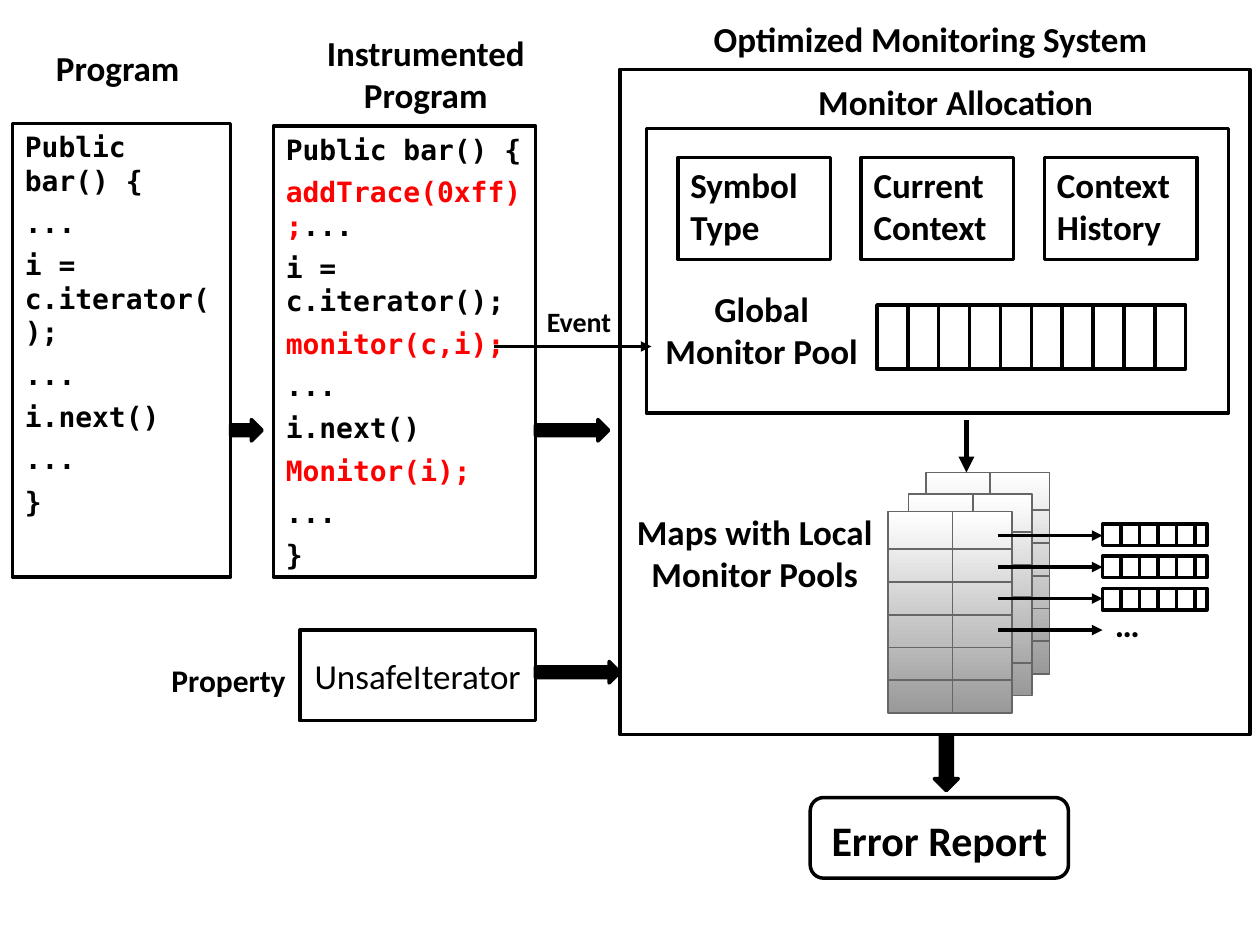
from dataclasses import dataclass
from typing import Any, NamedTuple

import lxml.etree
import pptx
import pptx.dml.color
import pptx.enum.dml
import pptx.enum.shapes
import pptx.enum.text
import pptx.oxml.ns
import pptx.util
from pptx.util import Inches

Color = pptx.dml.color.RGBColor
Preset = pptx.enum.shapes.MSO_SHAPE
Align = pptx.enum.text.PP_ALIGN
Anchor = pptx.enum.text.MSO_ANCHOR


@dataclass(frozen=True)
class Theme:
    ink: Color = Color(0x00, 0x00, 0x00)
    paper: Color = Color(0xFF, 0xFF, 0xFF)
    accent: Color = Color(0xFF, 0x00, 0x00)
    map_shade: Color = Color(0x99, 0x99, 0x99)
    map_line: Color = Color(0x66, 0x66, 0x66)
    label_font: str = "Calibri"
    code_font: str = "DejaVu Sans Mono"
    report_size: int = 24
    label_size: int = 20
    property_size: int = 18
    code_size: int = 16
    line_width: int = 2
    flow_width: int = 3
    map_line_width: int = 1
    paragraph_gap: int = 5


THEME = Theme()


class Box(NamedTuple):
    left: float
    top: float
    width: float
    height: float


class Label(NamedTuple):
    text: str
    box: Box
    size: int = THEME.label_size
    align: Any = Align.CENTER


class BlockArrow(NamedTuple):
    box: Box
    rotation: int = 0


class Segment(NamedTuple):
    text: str
    color: Color = THEME.ink


class Grid(NamedTuple):
    box: Box
    columns: list[float]
    rows: list[float]
    is_map: bool = False


def added(text: str) -> Segment:
    return Segment(text, THEME.accent)


LABELS = [
    Label("Optimized Monitoring System", Box(5.52, 0.09, 3.73, 0.45)),
    Label("Monitor Allocation", Box(5.87, 0.59, 3.43, 0.37)),
    Label("Global Monitor Pool", Box(5.17, 2.23, 1.75, 0.68)),
    Label("Maps with Local Monitor Pools", Box(4.81, 4, 2.36, 0.7)),
    Label("Program", Box(0.17, 0.32, 1.53, 0.46)),
    Label("Instrumented Program", Box(2.46, 0.2, 1.84, 0.79)),
    Label("Property", Box(1.05, 5.2, 1.53, 0.46), THEME.property_size),
    Label("Event", Box(3.83, 2.37, 1.53, 0.46), THEME.code_size),
    Label("…", Box(8.75, 4.73, 0.92, 0.44), align=Align.LEFT),
]
BLOCK_ARROWS = [
    BlockArrow(Box(1.83, 3.33, 0.25, 0.17)),
    BlockArrow(Box(4.25, 3.33, 0.58, 0.17)),
    BlockArrow(Box(4.25, 5.25, 0.67, 0.17)),
    BlockArrow(Box(7.29, 5.96, 0.44, 0.19), 90),
]
PROGRAM = [
    [Segment(line)]
    for line in ("Public bar() {", "...", "i = c.iterator();", "...", "i.next()", "...", "}")
]
INSTRUMENTED = [
    [Segment("Public bar() {")],
    [added("addTrace(0xff);"), Segment("...")],
    [Segment("i = c.iterator();")],
    [added("monitor(c,i);")],
    [Segment("...")],
    [Segment("i.next()")],
    [added("Monitor(i);")],
    [Segment("...")],
    [Segment("}")],
]
GLOBAL_POOL = Grid(Box(6.96, 2.42, 2.45, 0.51), [0.245 * i for i in range(1, 10)], [])
MAPS = [
    Grid(Box(left, top, 0.98, 1.6), [0.51], [0.3 + 0.26 * i for i in range(5)], True)
    for left, top in ((7.35, 3.75), (7.21, 3.92), (7.05, 4.06))
]
LOCAL_POOLS = [
    Grid(Box(8.75, 4.16 + 0.255 * i, 0.83, 0.17), [0.147 * j for j in range(1, 6)], [])
    for i in range(3)
]


def add_box(shapes: Any, box: Box, preset: Any = Preset.RECTANGLE) -> Any:
    shape = shapes.add_shape(preset, *map(Inches, box))
    shape.shadow.inherit = False
    shape.fill.solid()
    shape.fill.fore_color.rgb = THEME.paper
    shape.line.color.rgb = THEME.ink
    shape.line.width = pptx.util.Pt(THEME.line_width)
    return shape


def add_line(shapes: Any, start: tuple[float, float], end: tuple[float, float],
             width: int = THEME.line_width, color: Color = THEME.ink,
             arrow: bool = False) -> None:
    connector = shapes.add_connector(
        pptx.enum.shapes.MSO_CONNECTOR.STRAIGHT, *map(Inches, start + end))
    connector.line.color.rgb = color
    connector.line.width = pptx.util.Pt(width)
    if arrow:
        tail = lxml.etree.SubElement(connector.line._get_or_add_ln(), pptx.oxml.ns.qn("a:tailEnd"))
        tail.set("type", "triangle")
    lxml.etree.SubElement(connector._element.spPr, pptx.oxml.ns.qn("a:effectLst"))


def format_run(run: Any, font: str, size: int, color: Color = THEME.ink,
               bold: bool = True) -> None:
    run.font.name = font
    run.font.size = pptx.util.Pt(size)
    run.font.color.rgb = color
    run.font.bold = bold


def write(shape: Any, text: str, size: int = THEME.label_size, align: Any = Align.CENTER,
          anchor: Any = Anchor.TOP, bold: bool = True) -> None:
    frame = shape.text_frame
    frame.word_wrap = True
    frame.vertical_anchor = anchor
    frame.text = text
    paragraph = frame.paragraphs[0]
    paragraph.alignment = align
    format_run(paragraph.runs[0], THEME.label_font, size, bold=bold)


def add_code(shapes: Any, box: Box, lines: list[list[Segment]]) -> None:
    frame = add_box(shapes, box).text_frame
    frame.word_wrap = True
    frame.vertical_anchor = Anchor.TOP
    for index, segments in enumerate(lines):
        paragraph = frame.add_paragraph() if index else frame.paragraphs[0]
        paragraph.alignment = Align.LEFT
        paragraph.space_after = pptx.util.Pt(THEME.paragraph_gap)
        for segment in segments:
            run = paragraph.add_run()
            run.text = segment.text
            format_run(run, THEME.code_font, THEME.code_size, segment.color)


def add_grid(shapes: Any, grid: Grid) -> None:
    left, top, width, height = grid.box
    group = shapes.add_group_shape().shapes
    frame = add_box(group, grid.box)
    color, line_width = THEME.ink, THEME.line_width
    if grid.is_map:
        color, line_width = THEME.map_line, THEME.map_line_width
        frame.fill.gradient()
        frame.fill.gradient_angle = 270
        for stop, shade in zip(frame.fill.gradient_stops, (THEME.paper, THEME.map_shade)):
            stop.color.rgb = shade
        frame.line.color.rgb = color
        frame.line.width = pptx.util.Pt(line_width)
    for x in grid.columns:
        add_line(group, (left + x, top), (left + x, top + height), line_width, color)
    for y in grid.rows:
        add_line(group, (left, top + y), (left + width, top + y), line_width, color)


def main() -> None:
    presentation = pptx.Presentation()
    presentation.slide_width, presentation.slide_height = Inches(10), Inches(7.5)
    shapes = presentation.slides.add_slide(presentation.slide_layouts[6]).shapes

    add_box(shapes, Box(4.92, 0.55, 5, 5.28))
    add_box(shapes, Box(5.13, 1.02, 4.62, 2.26))
    for index, text in enumerate(("Symbol Type", "Current Context", "Context History")):
        write(add_box(shapes, Box(5.38 + 1.455 * index, 1.25, 1.21, 0.81)), text, align=Align.LEFT)
    add_code(shapes, Box(0.1, 0.98, 1.73, 3.6), PROGRAM)
    add_code(shapes, Box(2.17, 1, 2.08, 3.58), INSTRUMENTED)
    write(add_box(shapes, Box(2.38, 5, 1.87, 0.72)), "UnsafeIterator",
          anchor=Anchor.MIDDLE, bold=False)
    report = add_box(shapes, Box(6.43, 6.33, 2.05, 0.64), Preset.ROUNDED_RECTANGLE)
    report.text_frame.margin_top = Inches(0.1)
    write(report, "Error Report", THEME.report_size)

    for grid in [GLOBAL_POOL, *MAPS, *LOCAL_POOLS]:
        add_grid(shapes, grid)
    for label in LABELS:
        write(shapes.add_textbox(*map(Inches, label.box)), label.text, label.size, label.align)
    for arrow in BLOCK_ARROWS:
        shape = add_box(shapes, arrow.box, Preset.RIGHT_ARROW)
        shape.fill.fore_color.rgb = THEME.ink
        shape.rotation = arrow.rotation
    add_line(shapes, (3.92, 2.75), (5.17, 2.75), arrow=True)
    add_line(shapes, (7.67, 3.33), (7.67, 3.75), THEME.flow_width, arrow=True)
    for index in range(4):
        y = 4.25 + 0.25 * index
        add_line(shapes, (7.92, y), (8.75, y), arrow=True)

    presentation.save("out.pptx")


if __name__ == "__main__":
    main()
